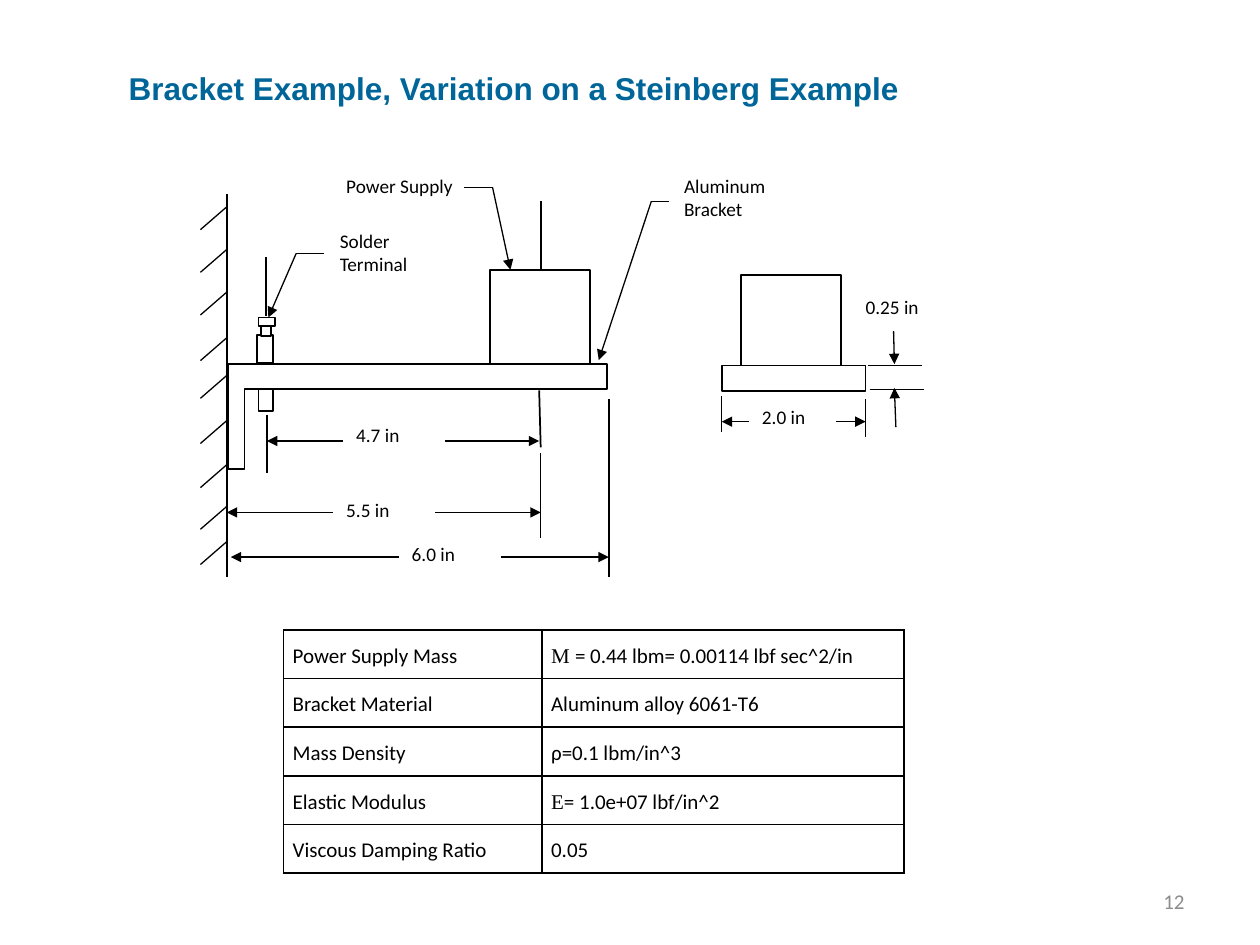
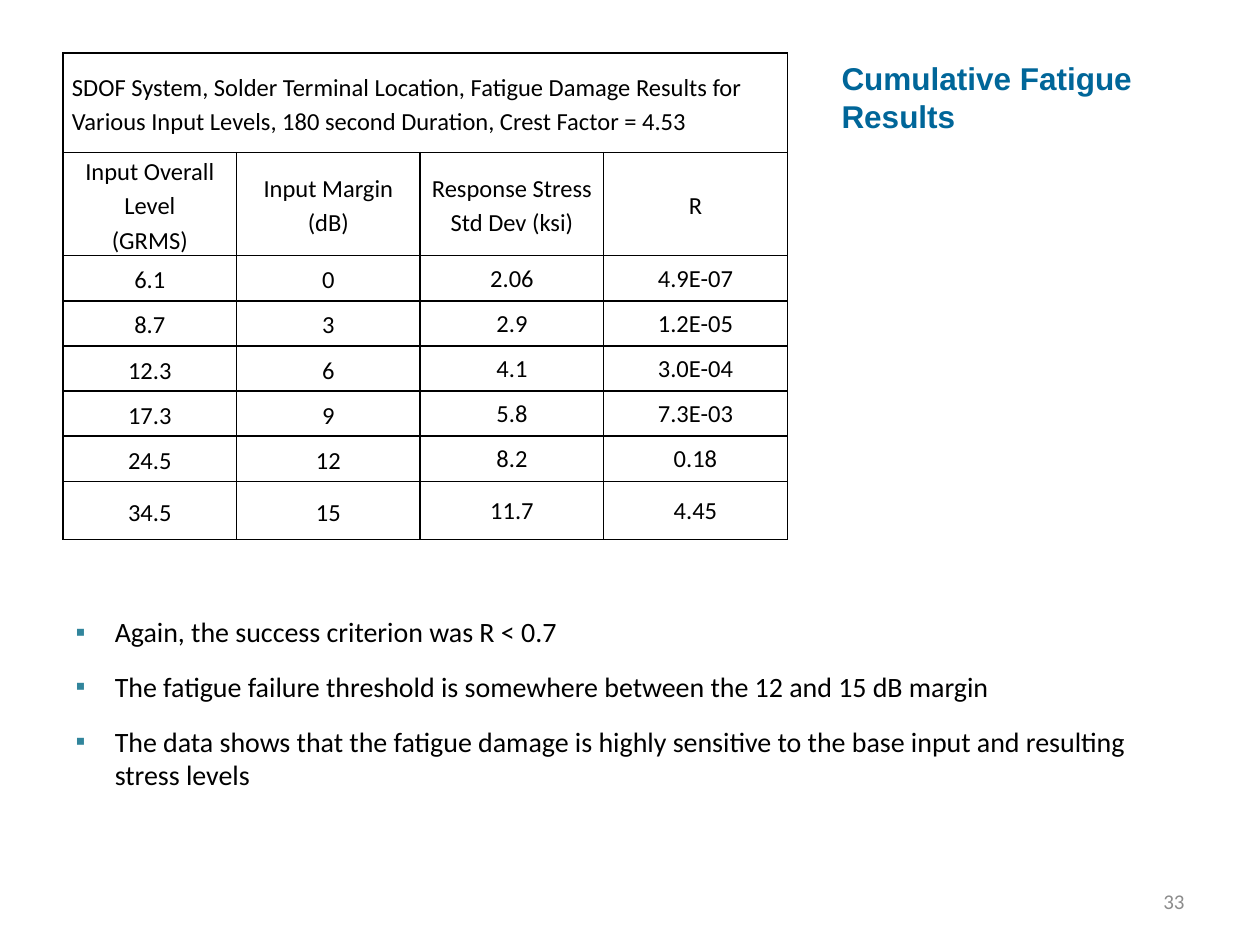
from lxml.etree import SubElement
from pptx import Presentation
from pptx.dml.color import RGBColor
from pptx.enum.shapes import MSO_CONNECTOR, MSO_SHAPE
from pptx.enum.text import MSO_ANCHOR, MSO_AUTO_SIZE, PP_ALIGN
from pptx.oxml.ns import qn
from pptx.util import Cm, Pt

BLACK = RGBColor(0x00, 0x00, 0x00)
WHITE = RGBColor(0xFF, 0xFF, 0xFF)
BLUE = RGBColor(0x00, 0x66, 0x99)
TEAL = RGBColor(0x31, 0x85, 0x9C)
GRAY = RGBColor(0x8C, 0x8C, 0x8C)
SANS, SERIF, HEADING = "Calibri", "Times New Roman", "Arial"
THIN, THICK = 0.75, 1
TITLE_ONLY, TITLE_AND_BODY = 5, 1

FRAME = {"word_wrap": True, "auto_size": MSO_AUTO_SIZE.NONE,
         "vertical_anchor": MSO_ANCHOR.TOP}
LEFT = {"alignment": PP_ALIGN.LEFT}
CENTER = {"alignment": PP_ALIGN.CENTER}
TITLE_FONT = {"size": Pt(18), "name": HEADING, "bold": True}
INSETS = {"margin_left": Cm(0.18), "margin_right": Cm(0.18),
          "margin_top": 0, "margin_bottom": 0}
TIGHT_INSETS = {"margin_left": Cm(0.03), "margin_right": Cm(0.03),
                "margin_top": Cm(0.03), "margin_bottom": 0}


def apply(obj, values):
    for name, value in values.items():
        setattr(obj, name, value)


def add_solid(parent, color):
    fill = SubElement(parent, qn("a:solidFill"))
    SubElement(fill, qn("a:srgbClr"), val=str(color))


class Deck:
    def __init__(self):
        self.prs = Presentation()
        self.prs.slide_width, self.prs.slide_height = Cm(25.4), Cm(19.05)
        self.s = None

    def slide(self, layout, number, title, box):
        self.s = self.prs.slides.add_slide(self.prs.slide_layouts[layout])
        self.place(self.s.shapes.title, box)
        tf = self.s.shapes.title.text_frame
        apply(tf, FRAME)
        self.fill_text(tf.paragraphs[0], title, TITLE_FONT, BLUE, LEFT)
        tf = self.s.shapes.add_textbox(*map(Cm, (18.21, 17.65, 5.92, 1.02))).text_frame
        apply(tf, {**FRAME, "vertical_anchor": MSO_ANCHOR.MIDDLE})
        self.fill_text(tf.paragraphs[0], str(number), {"size": Pt(12), "name": SANS},
                       GRAY, {"alignment": PP_ALIGN.RIGHT})

    def place(self, sp, box):
        apply(sp, dict(zip(("left", "top", "width", "height"), map(Cm, box))))

    def fill_text(self, p, text, font, color, form):
        """Fill a paragraph with a string, or with (text, font name) pairs."""
        apply(p, form)
        runs = [(text, font["name"])] if isinstance(text, str) else text
        for words, name in runs:
            r = p.add_run()
            r.text = words
            apply(r.font, {**font, "name": name})
            r.font.color.rgb = color

    def paint(self, sp, line_color, weight):
        sp.shadow.inherit = False
        sp.fill.solid()
        sp.fill.fore_color.rgb = WHITE
        sp.line.color.rgb = line_color
        sp.line.width = Pt(weight)

    def rect(self, box, line_color=BLACK, weight=THICK):
        sp = self.s.shapes.add_shape(MSO_SHAPE.RECTANGLE, *map(Cm, box))
        self.paint(sp, line_color, weight)
        return sp

    def outline(self, points):
        start, *rest = [(Cm(x), Cm(y)) for x, y in points]
        builder = self.s.shapes.build_freeform(*start)
        builder.add_line_segments(rest, close=True)
        self.paint(builder.convert_to_shape(), BLACK, THICK)

    def label(self, text, box):
        """White box that also interrupts any line running behind it."""
        tf = self.rect(box, WHITE, THIN).text_frame
        apply(tf, FRAME)
        self.fill_text(tf.paragraphs[0], text, {"size": Pt(11), "name": SANS}, BLACK,
                       {**LEFT, "space_after": Pt(10)})

    def line(self, x1, y1, x2, y2, weight=THIN, arrows=()):
        """arrows may hold headEnd (at the start) and tailEnd (at the end)."""
        c = self.s.shapes.add_connector(MSO_CONNECTOR.STRAIGHT,
                                        *map(Cm, (x1, y1, x2, y2)))
        c.line.color.rgb = BLACK
        c.line.width = Pt(weight)
        spPr = c._element.spPr
        for end in arrows:
            SubElement(spPr.find(qn("a:ln")), qn("a:" + end), type="triangle")
        SubElement(spPr, qn("a:effectLst"))

    def leader(self, start, elbow, tip):
        self.line(*start, *elbow)
        self.line(*elbow, *tip, arrows=["tailEnd"])

    def table(self, corner, widths, heights, rows, size, cell_style):
        """cell_style(row, column) returns (insets, paragraph format)."""
        box = (*corner, sum(widths), sum(heights))
        table = self.s.shapes.add_table(len(heights), len(widths),
                                        *map(Cm, box)).table
        apply(table, {"first_row": False, "horz_banding": False})
        for column, width in zip(table.columns, widths):
            column.width = Cm(width)
        for row, height in zip(table.rows, heights):
            row.height = Cm(height)
        for i, texts in enumerate(rows):
            for j, cell in enumerate(table.rows[i].cells):
                self.frame_cell(cell)
                if j >= len(texts):
                    continue
                insets, form = cell_style(i, j)
                apply(cell, {**insets, "vertical_anchor": MSO_ANCHOR.MIDDLE})
                parts = texts[j].split("\n") if isinstance(texts[j], str) else [texts[j]]
                tf = cell.text_frame
                for k, part in enumerate(parts):
                    p = tf.add_paragraph() if k else tf.paragraphs[0]
                    self.fill_text(p, part, {"size": Pt(size), "name": SANS}, BLACK, form)
        return table

    def frame_cell(self, cell):
        tcPr = cell._tc.get_or_add_tcPr()
        for side in ("lnL", "lnR", "lnT", "lnB"):
            add_solid(SubElement(tcPr, qn("a:" + side), w=str(Pt(THICK))), BLACK)
        cell.fill.solid()
        cell.fill.fore_color.rgb = WHITE

    def bullets(self, items, box):
        body = self.s.placeholders[1]
        self.place(body, box)
        tf = body.text_frame
        apply(tf, FRAME)
        for i, item in enumerate(items):
            p = tf.add_paragraph() if i else tf.paragraphs[0]
            self.fill_text(p, item, {"size": Pt(16), "name": SANS}, BLACK,
                           {**LEFT, "space_before": Pt(6), "space_after": Pt(6)})
            pPr = p._p.get_or_add_pPr()
            pPr.set("marL", str(Cm(0.79)))
            pPr.set("indent", str(-Cm(0.79)))
            color = SubElement(pPr, qn("a:buClr"))
            SubElement(color, qn("a:srgbClr"), val=str(TEAL))
            SubElement(pPr, qn("a:buChar"), char="▪")


def draw_bracket(deck):
    solids = [
        (9.88, 5.44, 2.01, 1.91),   # power supply, side view
        (14.94, 5.54, 2.01, 1.83),  # power supply, end view
        (5.18, 6.76, 0.33, 0.56),   # terminal body
        (5.21, 7.44, 0.3, 0.84),    # terminal lead
        (5.26, 6.55, 0.2, 0.23),    # terminal neck
        (5.21, 6.4, 0.33, 0.18),    # terminal cap
        (14.55, 7.37, 2.9, 0.51),   # bracket, end view
    ]
    for box in solids:
        deck.rect(box)
    deck.outline([(4.6, 7.34), (12.24, 7.34), (12.24, 7.85),
                  (4.93, 7.85), (4.93, 9.45), (4.6, 9.45)])

    wall = 4.57
    deck.line(wall, 3.91, wall, 11.63, THICK)
    for y in (4.17, 5.03, 5.89, 6.81, 7.57, 8.48, 9.37, 10.21, 10.92):
        deck.line(wall, y, wall - 0.53, y + 0.46)

    center_lines = [(10.9, 4.06, 10.9, 5.46), (10.87, 7.87, 10.9, 9.02),
                    (5.38, 8.36, 5.38, 9.53), (5.36, 5.18, 5.36, 6.38),
                    (12.27, 8.05, 12.27, 11.63)]
    for ends in center_lines:
        deck.line(*ends, THICK)
    extension_lines = [(17.5, 7.37, 18.59, 7.37), (17.53, 7.85, 18.62, 7.85),
                       (14.55, 7.98, 14.55, 8.71), (17.45, 8.05, 17.45, 8.81),
                       (10.9, 9.14, 10.9, 10.85)]
    for ends in extension_lines:
        deck.line(*ends)


def annotate_bracket(deck):
    dimensions = [  # text, line (left, right, y), label box
        ("4.7 in", (5.38, 10.87, 8.89), (6.93, 8.41, 2.03, 0.84)),
        ("5.5 in", (4.57, 10.9, 10.33), (6.73, 9.93, 2.03, 0.84)),
        ("6.0 in", (4.65, 12.27, 11.23), (8.05, 10.8, 2.03, 0.84)),
        ("2.0 in", (14.55, 17.45, 8.5), (15.11, 8.05, 1.73, 0.84)),
    ]
    for text, (left, right, y), box in dimensions:
        deck.line(left, y, right, y, arrows=["headEnd", "tailEnd"])
        deck.label(text, box)

    deck.line(18.01, 6.53, 18.03, 7.34, arrows=["tailEnd"])
    deck.line(18.06, 8.61, 18.03, 7.82, arrows=["tailEnd"])
    deck.label("0.25 in", (17.2, 5.82, 1.96, 0.84))

    callouts = [
        ("Power Supply", (6.73, 3.38, 2.79, 0.74),
         [(9.35, 3.78), (9.93, 3.78), (10.29, 5.44)]),
        ("Solder Terminal", (6.6, 4.5, 2.39, 1.37),
         [(6.53, 5.11), (5.97, 5.11), (5.41, 6.4)]),
        ("Aluminum Bracket", (13.54, 3.38, 2.39, 1.37),
         [(13.49, 4.06), (13.13, 4.06), (12.07, 7.26)]),
    ]
    for text, box, points in callouts:
        deck.label(text, box)
        deck.leader(*points)


def bracket_slide(deck):
    deck.slide(TITLE_ONLY, 12, "Bracket Example, Variation on a Steinberg Example",
               (2.34, 1.27, 18.85, 1.02))
    draw_bracket(deck)
    annotate_bracket(deck)
    properties = [
        ("Power Supply Mass",
         [("M ", SERIF), ("= 0.44 lbm= 0.00114 lbf sec^2/in", SANS)]),
        ("Bracket Material", "Aluminum alloy 6061-T6"),
        ("Mass Density", "ρ=0.1 lbm/in^3"),
        ("Elastic Modulus", [("E", SERIF), ("= 1.0e+07 lbf/in^2", SANS)]),
        ("Viscous Damping Ratio", "0.05"),
    ]
    deck.table((5.72, 12.7), (5.21, 7.29), [0.98] * len(properties), properties, 12,
               lambda i, j: (INSETS, {**LEFT, "line_spacing": 1.15}))


def fatigue_cell_style(i, j):
    if i == 0:
        return INSETS, {**LEFT, "line_spacing": 1.15}
    if i > 1 and j > 1:
        return TIGHT_INSETS, CENTER
    return INSETS, {**CENTER, "line_spacing": 1.15}


def fatigue_slide(deck):
    deck.slide(TITLE_AND_BODY, 33, "Cumulative Fatigue Results",
               (16.71, 1.07, 7.62, 2.64))
    results = [
        ["SDOF System, Solder Terminal Location, Fatigue Damage Results for "
         "Various Input Levels, 180 second Duration, Crest Factor = 4.53"],
        ["Input Overall Level\n(GRMS)", "Input Margin (dB)",
         "Response Stress Std Dev (ksi)", "R"],
        ["6.1", "0", "2.06", "4.9E-07"],
        ["8.7", "3", "2.9", "1.2E-05"],
        ["12.3", "6", "4.1", "3.0E-04"],
        ["17.3", "9", "5.8", "7.3E-03"],
        ["24.5", "12", "8.2", "0.18"],
        ["34.5", "15", "11.7", "4.45"],
    ]
    table = deck.table((1.27, 1.07), [3.5] + [3.7] * 3,
                       [2.01, 2.01] + [0.91] * 5 + [1.17],
                       results, 14, fatigue_cell_style)
    table.cell(0, 0).merge(table.cell(0, 3))
    deck.bullets([
        "Again, the success criterion was R < 0.7",
        "The fatigue failure threshold is somewhere between the 12 and 15 dB margin",
        "The data shows that the fatigue damage is highly sensitive to the base "
        "input and resulting stress levels",
    ], (1.27, 12.27, 21.79, 3.84))


def main():
    deck = Deck()
    bracket_slide(deck)
    fatigue_slide(deck)
    deck.prs.save("out.pptx")


if __name__ == "__main__":
    main()
